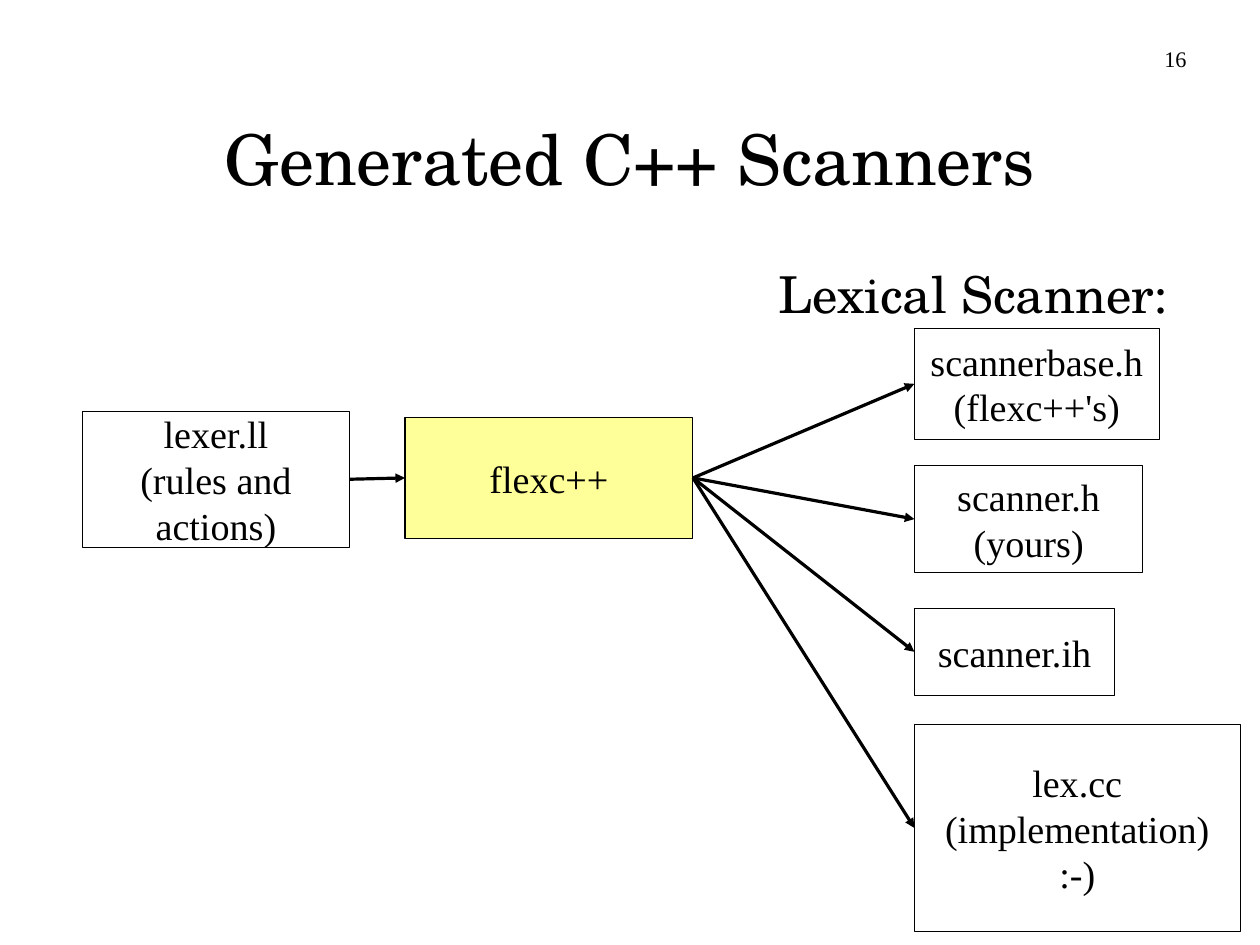
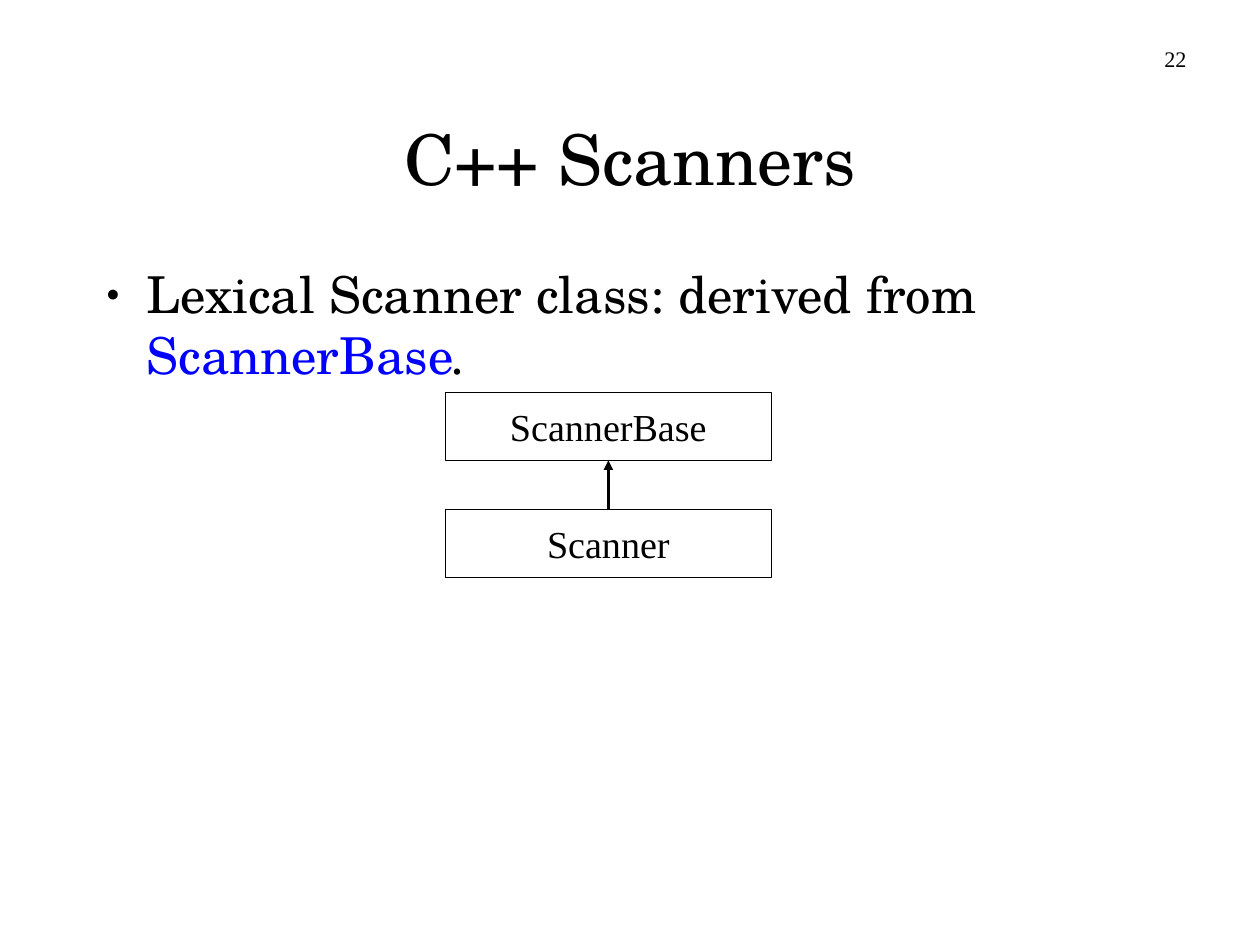
from lxml.etree import SubElement
from pptx import Presentation
from pptx.dml.color import RGBColor
from pptx.enum.shapes import MSO_CONNECTOR, MSO_SHAPE
from pptx.enum.text import MSO_ANCHOR, MSO_AUTO_SIZE, PP_ALIGN
from pptx.oxml.ns import qn
from pptx.util import Cm, Pt

BLACK = RGBColor(0x00, 0x00, 0x00)
WHITE = RGBColor(0xFF, 0xFF, 0xFF)
YELLOW = RGBColor(0xFF, 0xFF, 0x99)
BLUE = RGBColor(0x00, 0x00, 0xFF)

SCHOLA = "TeX Gyre Schola"
TIMES = "Times New Roman"
TOP, LEFT, BOTTOM, RIGHT = range(4)  # connection sites of a rectangle


def apply(target, values):
    for name, value in values.items():
        setattr(target, name, value)


class Deck:
    TITLE_FONT = {"name": SCHOLA, "size": Pt(44)}
    BODY_FONT = {"name": SCHOLA, "size": Pt(32)}
    BOX_FONT = {"name": TIMES, "size": Pt(24)}
    NUMBER_FONT = {"name": TIMES, "size": Pt(14)}
    FRAME = {"margin_left": 0, "margin_right": 0, "margin_top": 0,
             "margin_bottom": 0, "auto_size": MSO_AUTO_SIZE.NONE}

    def __init__(self):
        self.prs = Presentation()
        apply(self.prs, {"slide_width": Cm(28), "slide_height": Cm(21)})
        self.slide = None

    def new_slide(self, title):
        self.slide = self.prs.slides.add_slide(self.prs.slide_layouts[1])
        heading = self.slide.shapes.title
        self.place(heading, 2.06, 1.75, 23.9, 3.5)
        self.set_lines(heading, [title], self.TITLE_FONT)

    def place(self, shape, left, top, width, height):
        apply(shape, {"left": Cm(left), "top": Cm(top),
                      "width": Cm(width), "height": Cm(height)})

    def set_lines(self, shape, lines, font, align=PP_ALIGN.CENTER,
                  anchor=MSO_ANCHOR.MIDDLE, wrap=True):
        frame = shape.text_frame
        apply(frame, {**self.FRAME, "vertical_anchor": anchor, "word_wrap": wrap})
        for i, line in enumerate(lines):
            paragraph = frame.add_paragraph() if i else frame.paragraphs[0]
            paragraph.alignment = align
            self.add_run(paragraph, line, font)

    def add_run(self, paragraph, text, font, color=BLACK, italic=False):
        run = paragraph.add_run()
        run.text = text
        apply(run.font, {**font, "italic": italic})
        run.font.color.rgb = color

    def body(self, runs, width, height, align=PP_ALIGN.LEFT, bullet=None):
        """Fill the body placeholder with one paragraph of (text, format) runs."""
        body = self.slide.placeholders[1]
        self.place(body, 2.06, 5.84, width, height)
        apply(body.text_frame, {**self.FRAME, "word_wrap": True})
        paragraph = body.text_frame.paragraphs[0]
        props = paragraph._p.get_or_add_pPr()
        if bullet:
            props.set("marL", str(Cm(1.2)))
            props.set("indent", str(Cm(-0.9)))
            color = SubElement(props, qn("a:buClr"))
            SubElement(color, qn("a:srgbClr"), val=str(BLACK))
            SubElement(props, qn("a:buSzPct"), val="45000")
            SubElement(props, qn("a:buChar"), char=bullet)
        else:
            props.set("marL", "0")
            props.set("indent", "0")
            SubElement(props, qn("a:buNone"))
        apply(paragraph, {"alignment": align, "space_before": Pt(0),
                          "space_after": Pt(14.2)})
        for text, style in runs:
            self.add_run(paragraph, text, self.BODY_FONT, **style)

    def box(self, lines, left, top, width, height, fill=WHITE):
        box = self.slide.shapes.add_shape(
            MSO_SHAPE.RECTANGLE, Cm(left), Cm(top), Cm(width), Cm(height))
        box.shadow.inherit = False
        if fill is None:
            box.fill.background()
        else:
            box.fill.solid()
            box.fill.fore_color.rgb = fill
        box.line.color.rgb = BLACK
        box.line.width = Pt(0)
        self.set_lines(box, lines, self.BOX_FONT, wrap=False)
        return box

    def arrow(self, start, start_side, end, end_side):
        arrow = self.slide.shapes.add_connector(MSO_CONNECTOR.STRAIGHT, 0, 0, 0, 0)
        arrow.begin_connect(start, start_side)
        arrow.end_connect(end, end_side)
        arrow.line.color.rgb = BLACK
        arrow.line.width = Pt(0)
        SubElement(arrow.line._get_or_add_ln(), qn("a:tailEnd"), type="triangle")
        SubElement(arrow._element.spPr, qn("a:effectLst"))

    def page_number(self, number):
        label = self.slide.shapes.add_textbox(Cm(19.84), Cm(1), Cm(6.53), Cm(1.45))
        self.set_lines(label, [str(number)], self.NUMBER_FONT,
                       PP_ALIGN.RIGHT, MSO_ANCHOR.TOP)


def generated_scanners(deck):
    deck.new_slide("Generated C++ Scanners")
    deck.body([("Lexical Scanner:", {})], 23.9, 1.68, PP_ALIGN.RIGHT)

    # Input and generator
    lexer = deck.box(["lexer.ll", "(rules and", "actions)"], 1.83, 9.14, 5.94, 3.02)
    flexcpp = deck.box(["flexc++"], 9, 9.27, 6.4, 2.7, YELLOW)
    deck.arrow(lexer, RIGHT, flexcpp, LEFT)

    # Generated files: lines, top, width, height
    generated_files = [
        (["scannerbase.h", "(flexc++'s)"], 7.3, 5.44, 2.46),
        (["scanner.h", "(yours)"], 10.34, 5.08, 2.39),
        (["scanner.ih"], 13.52, 4.45, 1.93),
        (["lex.cc", "(implementation)", ":-)"], 16.1, 7.24, 4.6),
    ]
    for lines, top, width, height in generated_files:
        generated = deck.box(lines, 20.32, top, width, height)
        deck.arrow(flexcpp, RIGHT, generated, LEFT)
    deck.page_number(16)


def scanner_classes(deck):
    deck.new_slide("C++ Scanners")
    deck.body([("Lexical Scanner class: derived from ", {}),
               ("ScannerBase", {"color": BLUE}),
               (".", {"italic": True})], 25.2, 3.07, bullet="●")

    # Inheritance diagram
    base, derived = [deck.box([name], 9.9, 8.73 + 2.6 * row, 7.24, 1.5, None)
                     for row, name in enumerate(["ScannerBase", "Scanner"])]
    deck.arrow(derived, TOP, base, BOTTOM)
    deck.page_number(22)


def main():
    deck = Deck()
    generated_scanners(deck)
    scanner_classes(deck)
    deck.prs.save("out.pptx")


if __name__ == "__main__":
    main()
